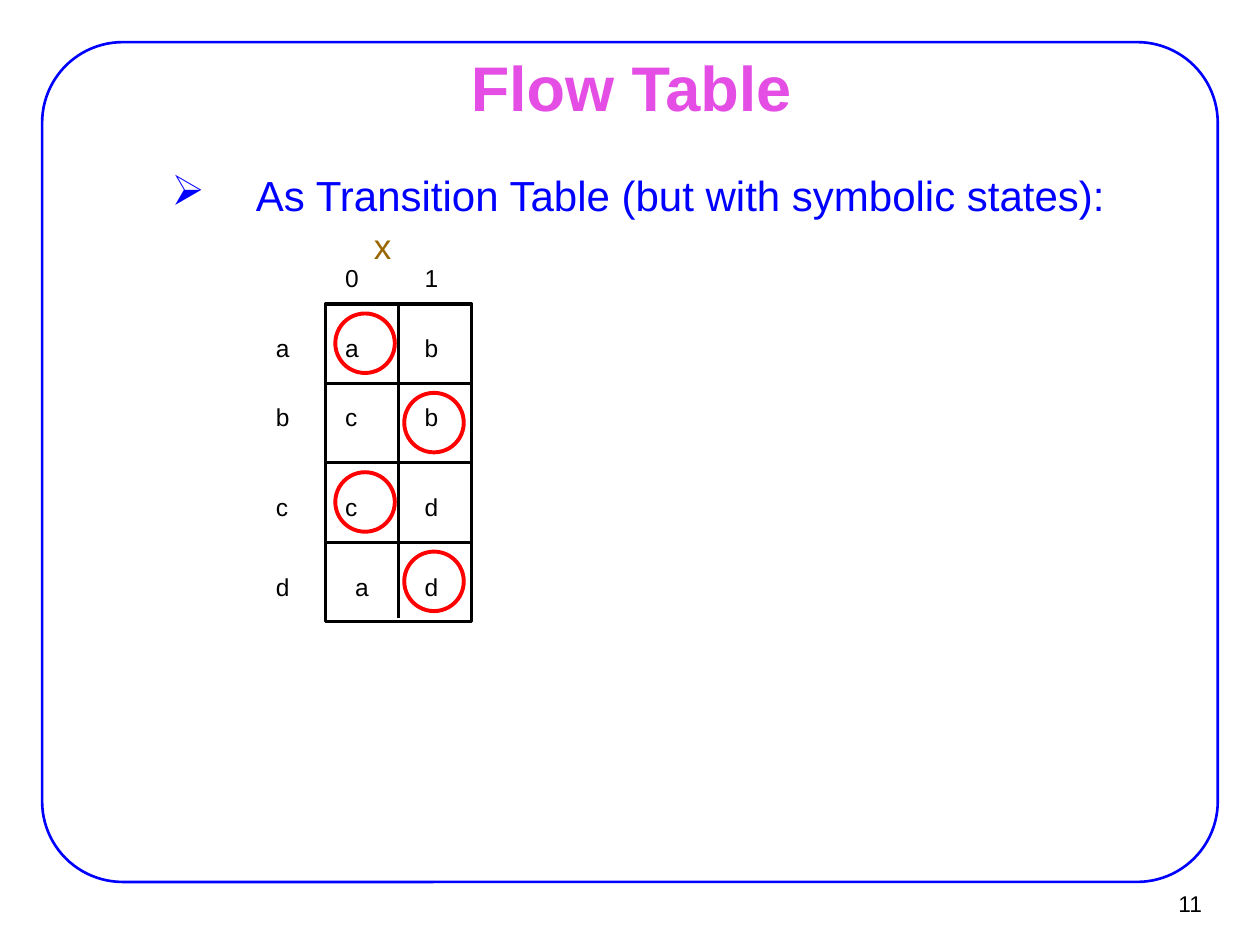
from dataclasses import dataclass

from lxml.etree import SubElement
from pptx import Presentation
from pptx.dml.color import RGBColor
from pptx.enum.shapes import MSO_CONNECTOR, MSO_SHAPE
from pptx.enum.text import MSO_ANCHOR, MSO_AUTO_SIZE, PP_ALIGN
from pptx.oxml.ns import qn
from pptx.util import Cm, Pt


@dataclass(frozen=True)
class Theme:
    font: str = "Arial"
    title: RGBColor = RGBColor(0xE4, 0x4E, 0xE4)
    accent: RGBColor = RGBColor(0x00, 0x00, 0xFF)
    ink: RGBColor = RGBColor(0x00, 0x00, 0x00)
    variable: RGBColor = RGBColor(0x99, 0x66, 0x00)
    stable: RGBColor = RGBColor(0xFF, 0x00, 0x00)
    title_size: int = 36
    body_size: int = 24
    variable_size: int = 20
    label_size: int = 14
    number_size: int = 13


theme = Theme()


def add_outline(kind, left, top, width, height, color, weight):
    shape = slide.shapes.add_shape(kind, Cm(left), Cm(top), Cm(width), Cm(height))
    shape.shadow.inherit = False
    shape.fill.background()
    shape.line.color.rgb = color
    shape.line.width = Pt(weight)
    return shape


def write(box, text, size, color, margins=(0, 0), bold=False):
    frame = box.text_frame
    frame.margin_left = frame.margin_right = Cm(margins[0])
    frame.margin_top = frame.margin_bottom = Cm(margins[1])
    para = frame.paragraphs[0]
    para.text = text
    para.font.name = theme.font
    para.font.size = Pt(size)
    para.font.bold = bold
    para.font.color.rgb = color
    return frame, para


deck = Presentation()
deck.slide_width, deck.slide_height = Cm(25.4), Cm(19.05)
slide = deck.slides.add_slide(deck.slide_layouts[5])

border = add_outline(MSO_SHAPE.ROUNDED_RECTANGLE, 0.85, 0.85, 23.7, 16.93, theme.accent, 1.5)
border.adjustments[0] = 0.096

title = slide.shapes.title
title.left, title.top, title.width, title.height = Cm(1.93), Cm(1.12), Cm(21.59), Cm(1.24)
frame, para = write(title, "Flow Table", theme.title_size, theme.title, (0.28, 0.15), True)
frame.auto_size = MSO_AUTO_SIZE.NONE
frame.vertical_anchor = MSO_ANCHOR.MIDDLE
para.alignment = PP_ALIGN.CENTER

number = slide.shapes.add_textbox(Cm(22.91), Cm(17.75), Cm(1.55), Cm(0.94))
frame, para = write(number, "11", theme.number_size, theme.ink, (0.23, 0.1))
frame.word_wrap = False
frame.vertical_anchor = MSO_ANCHOR.MIDDLE
para.alignment = PP_ALIGN.RIGHT

body = slide.shapes.add_textbox(Cm(1.91), Cm(3.38), Cm(21.59), Cm(1.73))
frame, para = write(body, "As Transition Table (but with symbolic states):",
                    theme.body_size, theme.accent, (0.28, 0.15))
frame.word_wrap = True
para.level = 1
para.line_spacing = 0.9
para.space_before = Pt(6)
properties = para._p.get_or_add_pPr()
properties.set("marL", str(Cm(2.97)))
properties.set("indent", str(Cm(-1.7)))
bullet_color = SubElement(properties, qn("a:buClr"))
SubElement(bullet_color, qn("a:srgbClr"), val=str(theme.accent))
SubElement(properties, qn("a:buChar"), char="➢")
properties.append(properties.find(qn("a:defRPr")))

grid_left, grid_top, grid_width, row_height = 6.56, 6.13, 2.95, 1.6
grid_right, grid_middle = grid_left + grid_width, grid_left + grid_width / 2
grid = add_outline(MSO_SHAPE.RECTANGLE, grid_left, grid_top, grid_width, 4 * row_height,
                   theme.ink, 1.75)

rule_ends = [(grid_middle, grid_top, grid_middle, 12.45)]
for row in range(1, 4):
    rule_top = grid_top + row * row_height
    rule_ends.append((grid_right, rule_top, grid_left, rule_top))
rules = []
for ends in rule_ends:
    rule = slide.shapes.add_connector(MSO_CONNECTOR.STRAIGHT, *[Cm(end) for end in ends])
    rule.line.color.rgb = theme.ink
    rule.line.width = Pt(1.75)
    SubElement(rule._element.spPr, qn("a:effectLst"))
    rules.append(rule)
rules[0].begin_connect(grid, 0)
rules[2].begin_connect(grid, 3)
rules[2].end_connect(grid, 1)

state_left, zero_left, one_left = 5.56, 6.96, 8.56
labels = [("x", 7.54, 4.52, theme.variable_size, theme.variable)]
rows = [
    (5.31, "", "0", "1", zero_left),
    (6.71, "a", "a", "b", zero_left),
    (8.11, "b", "c", "b", zero_left),
    (9.92, "c", "c", "d", zero_left),
    (11.53, "d", "a", "d", 7.16),
]
for top, state, zero, one, left in rows:
    for text, text_left in ((state, state_left), (zero, left), (one, one_left)):
        if text:
            labels.append((text, text_left, top, theme.label_size, theme.ink))
for text, left, top, size, color in labels:
    label = slide.shapes.add_textbox(Cm(left), Cm(top), Cm(0.41), Cm(size * 0.042))
    frame, para = write(label, text, size, color)
    frame.word_wrap = False
    frame.auto_size = MSO_AUTO_SIZE.SHAPE_TO_FIT_TEXT

for row in range(4):
    add_outline(MSO_SHAPE.OVAL, (6.76, 8.15)[row % 2], 6.32 + row * row_height, 1.2, 1.2,
                theme.stable, 2.25)

deck.save("out.pptx")
